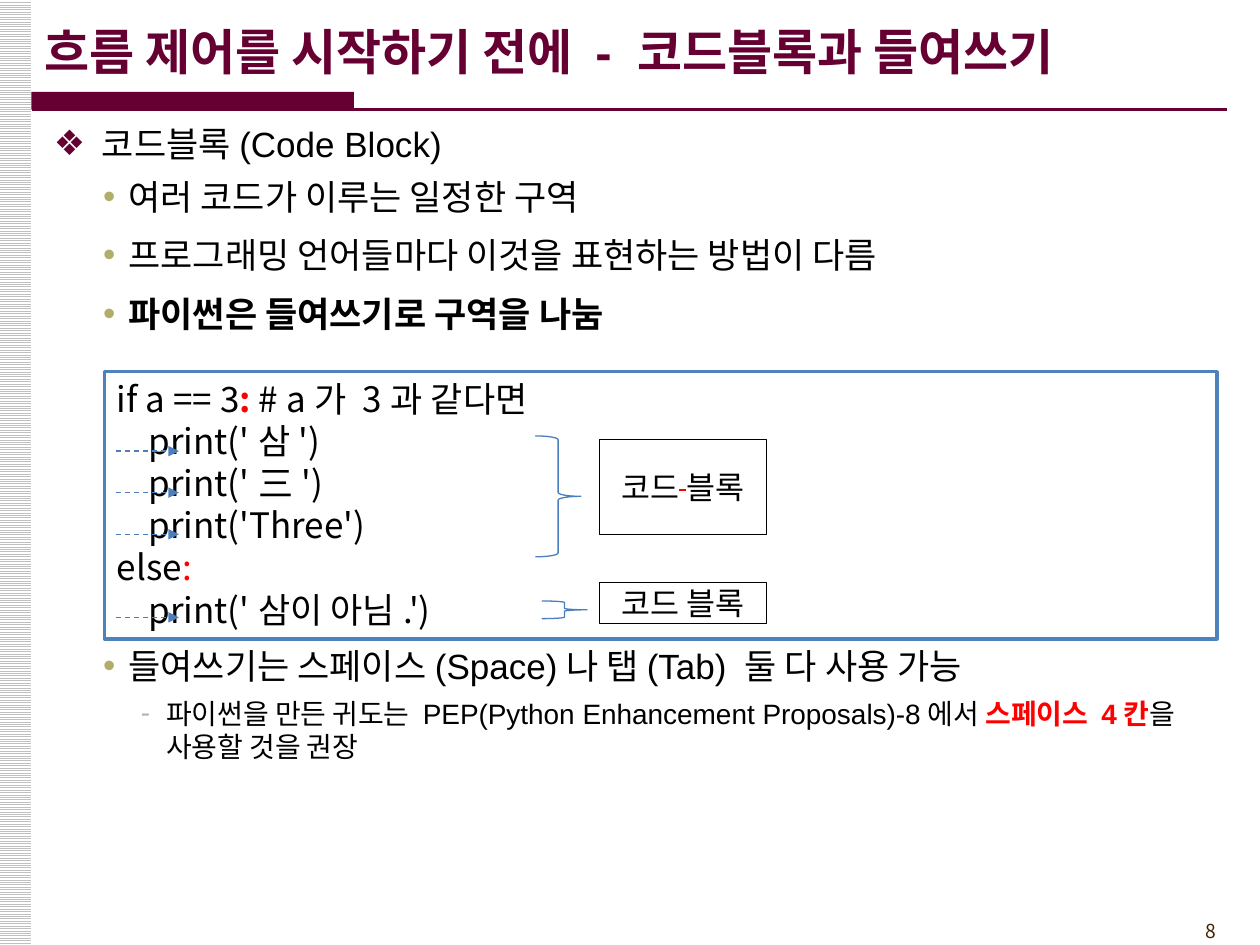
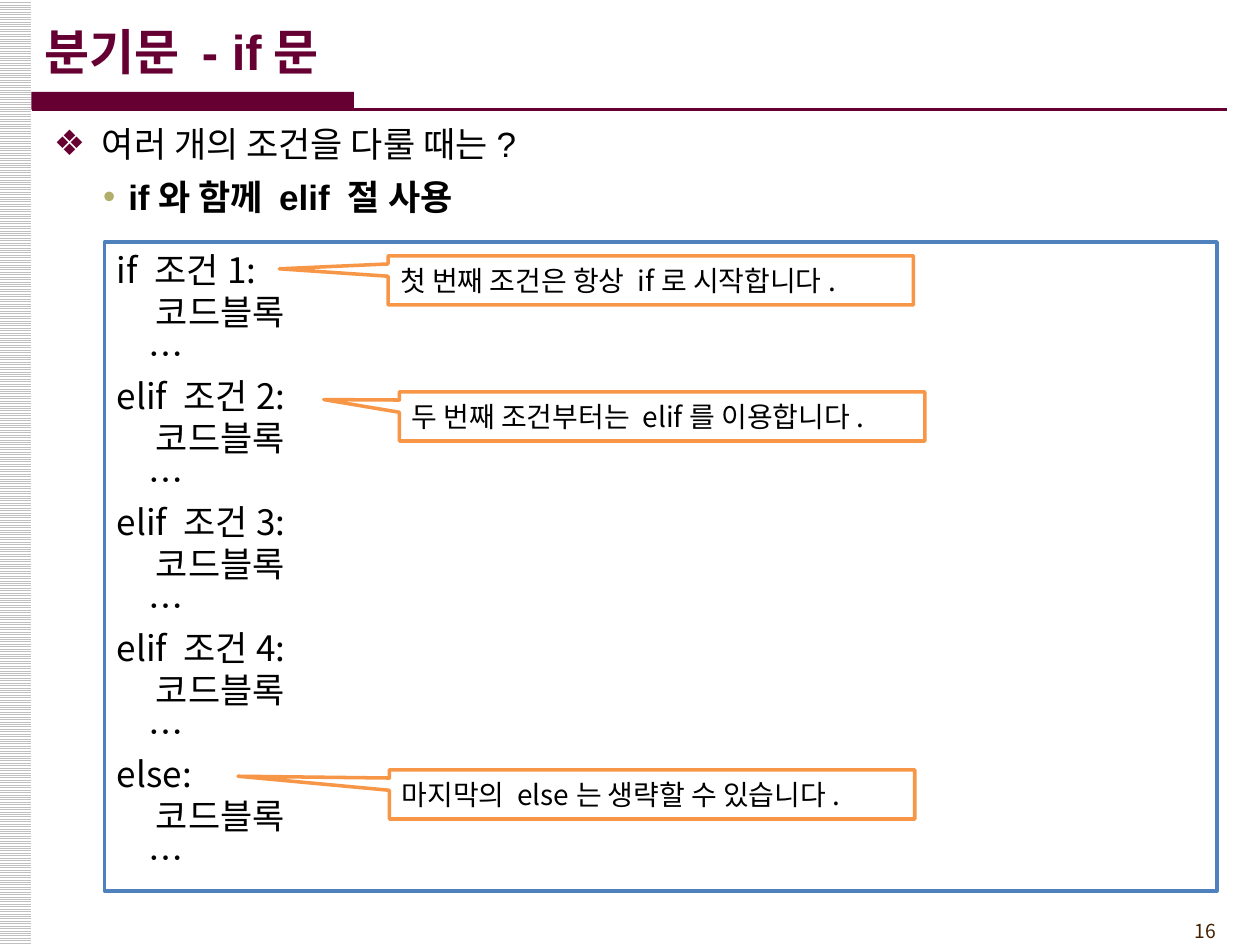
from dataclasses import dataclass

from lxml import etree
from pptx import Presentation
from pptx import util as u
from pptx.dml.color import RGBColor
from pptx.enum import dml, shapes, text
from pptx.oxml.ns import qn

Inches, Pt = u.Inches, u.Pt
Shape, Align = shapes.MSO_SHAPE, text.PP_ALIGN


@dataclass(frozen=True)
class Theme:
    # Colours
    wine: str = "660033"
    olive: str = "B1AE6B"
    sage: str = "ADB9AD"
    blue: str = "4F81BD"
    steel: str = "4B7EBC"
    orange: str = "F79646"
    brown: str = "452103"
    grey: str = "C0C0C0"
    red: str = "FF0000"
    black: str = "000000"
    white: str = "FFFFFF"
    # Fonts and sizes
    latin: str = "Arial"
    hangul: str = "Noto Sans CJK KR"
    head: int = 28
    main: int = 20
    label: int = 18
    note: int = 16
    tiny: int = 11


T = Theme()
RED = dict(color=T.red)
# Body levels: bullet, its colour, left margin, hanging indent, spacing
LEVELS = [
    dict(bullet="❖", tint=T.wine, left=0.38, hang=0.38, lead=24),
    dict(bullet="•", tint=T.olive, left=0.59, hang=0.2, lead=24,
         before=6.4, after=3),
    dict(bullet="-", tint=T.sage, left=0.89, hang=0.2, lead=19,
         before=3, after=3, size=T.note),
]
CODE = dict(font=T.hangul, align=Align.JUSTIFY, lead=24)


def rgb(code):
    return RGBColor.from_string(code)


def add_run(par, words, size, font, color, bold=False, strike=False):
    run = par.add_run()
    run.text = words
    run.font.size, run.font.name, run.font.bold = Pt(size), font, bold
    run.font.color.rgb = rgb(color)
    props = run._r.get_or_add_rPr()
    if strike:
        props.set("strike", "sngStrike")
    etree.SubElement(props, qn("a:ea"), typeface=T.hangul)


def write(frame, words, size=T.main, font=T.latin, color=T.black, bold=False,
          align=Align.LEFT, lead=None, before=0, after=0, left=0, hang=0,
          bullet=None, tint=None):
    """Add a paragraph; words is a string or a list of (string, format)."""
    par = frame.paragraphs[0]
    if par.runs:
        par = frame.add_paragraph()
    par.alignment = align
    par.space_before, par.space_after = Pt(before), Pt(after)
    if lead:
        par.line_spacing = Pt(lead)
    props = par._p.get_or_add_pPr()
    props.set("marL", str(Inches(left)))
    props.set("indent", str(-Inches(hang)))
    if bullet:
        hue = etree.SubElement(props, qn("a:buClr"))
        etree.SubElement(hue, qn("a:srgbClr"), val=tint)
        etree.SubElement(props, qn("a:buFont"), typeface=T.latin)
        etree.SubElement(props, qn("a:buChar"), char=bullet)
    else:
        etree.SubElement(props, qn("a:buNone"))
    base = dict(size=size, font=font, color=color, bold=bold)
    for part, extra in [(words, {})] if isinstance(words, str) else words:
        add_run(par, part, **{**base, **extra})


def place(box):
    return [Inches(n) for n in box]


def add_box(slide, box, kind=Shape.RECTANGLE, fill=None, line=None, width=1,
            anchor=text.MSO_ANCHOR.MIDDLE):
    shape = slide.shapes.add_shape(kind, *place(box))
    shape.shadow.inherit = False
    if fill:
        shape.fill.solid()
        shape.fill.fore_color.rgb = rgb(fill)
    else:
        shape.fill.background()
    if line:
        shape.line.color.rgb = rgb(line)
        shape.line.width = Pt(width)
    else:
        shape.line.fill.background()
    shape.text_frame.word_wrap = True
    shape.text_frame.vertical_anchor = anchor
    return shape


def add_line(slide, start, end, color, width, arrow=False):
    line = slide.shapes.add_connector(
        shapes.MSO_CONNECTOR.STRAIGHT, *place(start + end))
    line.line.color.rgb = rgb(color)
    line.line.width = Pt(width)
    props = line.element.spPr
    if arrow:
        line.line.dash_style = dml.MSO_LINE.DASH
        etree.SubElement(props.find(qn("a:ln")), qn("a:tailEnd"),
                         type="triangle")
    etree.SubElement(props, qn("a:effectLst"))


def add_text(slide, box):
    frame = slide.shapes.add_textbox(*place(box)).text_frame
    frame.word_wrap = True
    return frame


def add_page(deck, title, number):
    slide = deck.slides.add_slide(deck.slide_layouts[5])
    # Striped left band
    band = add_box(slide, (-0.01, 0, 0.26, 7.5))
    band.fill.patterned()
    band.fill.pattern = dml.MSO_PATTERN.LIGHT_HORIZONTAL
    band.fill.fore_color.rgb = rgb(T.grey)
    band.fill.back_color.rgb = rgb(T.white)
    # Page number
    write(add_text(slide, (8.92, 7.25, 0.83, 0.29)), str(number),
          size=T.tiny, font=T.hangul, color=T.brown, align=Align.RIGHT)
    # Title and its rule
    add_box(slide, (0.25, 0.73, 2.56, 0.14), fill=T.wine)
    add_line(slide, (0.25, 0.87), (9.74, 0.87), T.wine, 1.5)
    head = slide.shapes.title
    head.left, head.top, head.width, head.height = place(
        (0.25, 0.09, 9.34, 0.63))
    frame = head.text_frame
    frame.auto_size = text.MSO_AUTO_SIZE.NONE
    frame.vertical_anchor = text.MSO_ANCHOR.MIDDLE
    write(frame, title, size=T.head, color=T.wine, bold=True)
    return slide


def add_body(slide, items):
    frame = add_text(slide, (0.33, 0.92, 9.5, 6.25))
    for level, words, extra in items:
        write(frame, words, **{**LEVELS[level], **extra})


def add_code(slide, top, height, rows):
    box = add_box(slide, (0.83, top, 8.83, height), fill=T.white,
                  line=T.blue, width=2, anchor=text.MSO_ANCHOR.TOP)
    for left, words in rows:
        write(box.text_frame, words, left=left, **CODE)


def add_label(slide, box, words):
    shape = add_box(slide, box, fill=T.white, line=T.black, width=0.5)
    write(shape.text_frame, words, size=T.label, font=T.hangul,
          align=Align.CENTER)


def add_note(slide, left, top, tip, words):
    note = add_box(slide, (left, top, 4.17, 0.39),
                   Shape.RECTANGULAR_CALLOUT, T.white, T.orange, 2)
    note.adjustments[0], note.adjustments[1] = tip
    write(note.text_frame, words, size=T.note, font=T.hangul)


def block_page(deck):
    slide = add_page(deck, "흐름 제어를 시작하기 전에 - 코드블록과 들여쓰기", 8)
    add_body(slide, [
        (0, "코드블록(Code Block)", {}),
        (1, "여러 코드가 이루는 일정한 구역", {}),
        (1, "프로그래밍 언어들마다 이것을 표현하는 방법이 다름", {}),
        (1, "파이썬은 들여쓰기로 구역을 나눔", dict(bold=True)),
        # The gap leaves room for the code box
        (1, "들여쓰기는 스페이스(Space)나 탭(Tab) 둘 다 사용 가능",
         dict(before=174)),
        (2, [("파이썬을 만든 귀도는 PEP(Python Enhancement Proposals)-8에서 ", {}),
             ("스페이스 4칸", dict(color=T.red, bold=True)),
             ("을 사용할 것을 권장", {})], {}),
    ])
    add_code(slide, 2.95, 2.12, [
        (0, [("if a == 3", {}), (":", dict(color=T.red, bold=True)),
             (" # a가 3과 같다면", {})]),
        (0.25, "print('삼')"),
        (0.25, "print('三')"),
        (0.25, "print('Three')"),
        (0, [("else", {}), (":", RED)]),
        (0.25, "print('삼이 아님.')"),
    ])
    # Braces and their labels
    for box in ((4.25, 3.46, 0.36, 0.96), (4.3, 4.77, 0.36, 0.14)):
        add_box(slide, box, Shape.RIGHT_BRACE, line=T.steel, width=0.75)
    add_label(slide, (4.76, 3.49, 1.32, 0.75),
              [("코드", {}), (" ", dict(color=T.red, strike=True)),
               ("블록", {})])
    add_label(slide, (4.76, 4.62, 1.32, 0.33), "코드 블록")
    # An arrow for each indented row
    for row in (0, 1, 2, 4):
        y = 3.58 + 0.33 * row
        add_line(slide, (0.92, y), (1.42, y), T.steel, 0.75, arrow=True)


def branch_page(deck):
    slide = add_page(deck, "분기문 - if문", 16)
    add_body(slide, [
        (0, "여러 개의 조건을 다룰 때는?", {}),
        (1, "if와 함께 elif 절 사용", dict(bold=True)),
    ])
    heads = ["if 조건1:", *(f"elif 조건{n}:" for n in (2, 3, 4)), "else:"]
    add_code(slide, 1.92, 5.15, [
        row for head in heads
        for row in ((0, head), (0.31, "코드블록"), (0.25, "…"))])
    add_note(slide, 3.08, 2.03, (-0.707, -0.234),
             "첫 번째 조건은 항상 if로 시작합니다.")
    add_note(slide, 3.17, 3.11, (-0.644, -0.342),
             "두 번째 조건부터는 elif를 이용합니다.")
    add_note(slide, 3.09, 6.11, (-0.788, -0.369),
             "마지막의 else는 생략할 수 있습니다.")


def main():
    deck = Presentation()
    deck.slide_width, deck.slide_height = Inches(10), Inches(7.5)
    block_page(deck)
    branch_page(deck)
    deck.save("out.pptx")


main()
